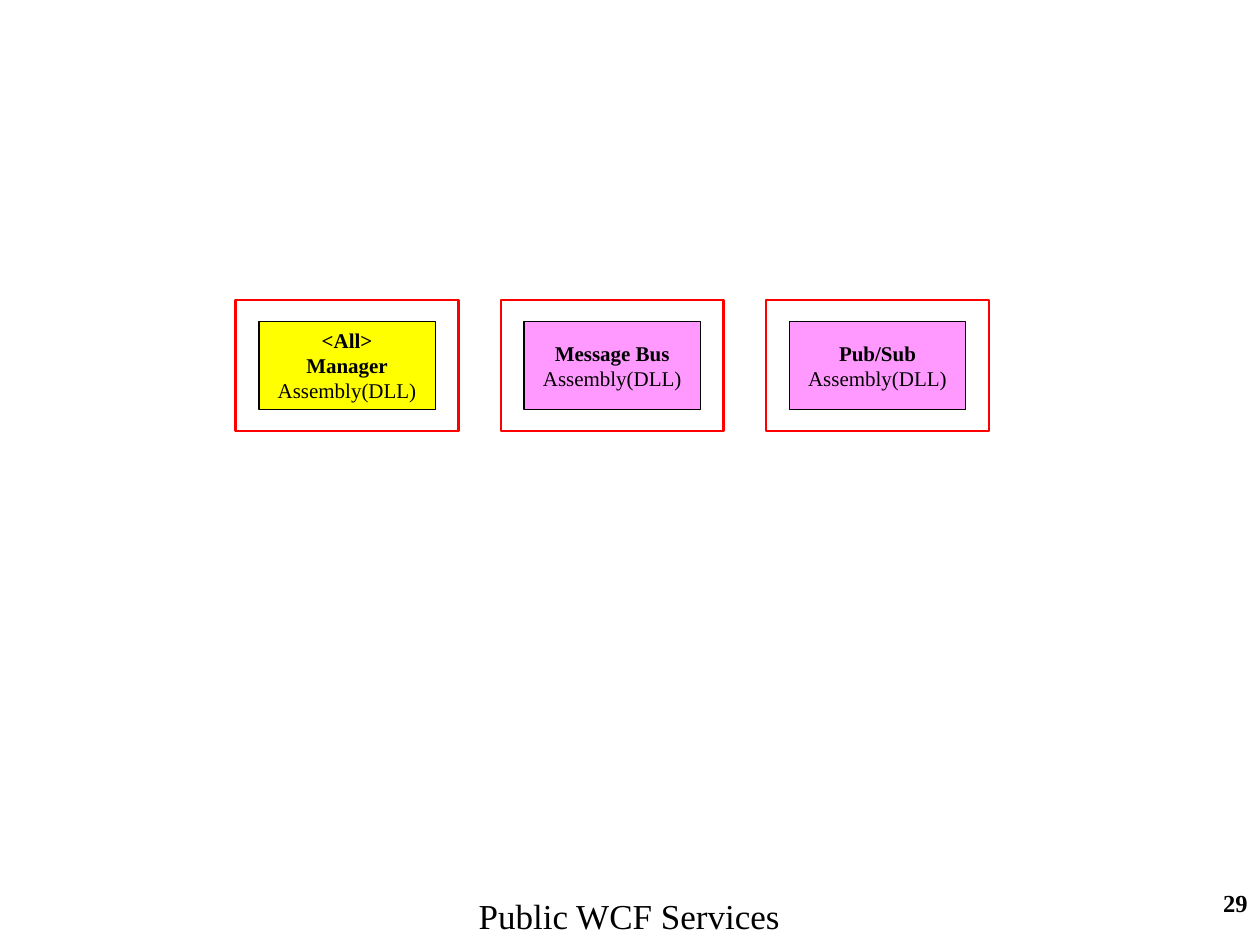
from pptx import Presentation
from pptx.dml.color import RGBColor
from pptx.enum.shapes import MSO_SHAPE as Shape
from pptx.enum.text import MSO_ANCHOR as Anchor, MSO_AUTO_SIZE as AutoSize, PP_ALIGN as Align
from pptx.util import Inches, Pt

BLACK = RGBColor(0x00, 0x00, 0x00)
RED = RGBColor(0xFF, 0x00, 0x00)
YELLOW = RGBColor(0xFF, 0xFF, 0x00)
PINK = RGBColor(0xFF, 0x99, 0xFF)

# Grid of three equal columns, in inches
FIRST_LEFT, LAST_LEFT, TOP = 1.87, 6.08, 2.38
FRAME_WIDTH, FRAME_HEIGHT = 1.77, 1.04
BOX_WIDTH, BOX_HEIGHT = 1.4, 0.7

presentation = Presentation()
presentation.slide_width, presentation.slide_height = Inches(10), Inches(7.5)
slide = presentation.slides.add_slide(presentation.slide_layouts[6])


def add_run(paragraph, text, size, bold=False):
    run = paragraph.add_run()
    run.text = text
    run.font.name = "Times New Roman"
    run.font.size = Pt(size)
    run.font.bold = bold
    run.font.color.rgb = BLACK


def add_rectangle(left, top, width, height, line_color, line_width, fill=None):
    shape = slide.shapes.add_shape(
        Shape.RECTANGLE, Inches(left), Inches(top), Inches(width), Inches(height))
    shape.shadow.inherit = False
    shape.line.color.rgb = line_color
    shape.line.width = Pt(line_width)
    if fill is None:
        shape.fill.background()
    else:
        shape.fill.solid()
        shape.fill.fore_color.rgb = fill
    return shape


# Page number and caption
number = slide.shapes.add_textbox(Inches(7.92), Inches(7), Inches(2.08), Inches(0.5))
number.text_frame.word_wrap = True
paragraph = number.text_frame.paragraphs[0]
paragraph.alignment = Align.RIGHT
add_run(paragraph, "29", 14, bold=True)

caption = slide.shapes.add_textbox(Inches(3.7), Inches(7.05), Inches(2.61), Inches(0.44))
caption.text_frame.word_wrap = False
caption.text_frame.auto_size = AutoSize.SHAPE_TO_FIT_TEXT
add_run(caption.text_frame.paragraphs[0], "Public WCF Services", 20)

# Services: a red frame around each assembly box
services = [
    (["<All>", "Manager"], YELLOW),
    (["Message Bus"], PINK),
    (["Pub/Sub"], PINK),
]
pitch = (LAST_LEFT - FIRST_LEFT) / (len(services) - 1)
for column, (name_lines, fill) in enumerate(services):
    left = FIRST_LEFT + column * pitch
    add_rectangle(left, TOP, FRAME_WIDTH, FRAME_HEIGHT, RED, 1.5)
    box = add_rectangle(
        left + (FRAME_WIDTH - BOX_WIDTH) / 2, TOP + (FRAME_HEIGHT - BOX_HEIGHT) / 2,
        BOX_WIDTH, BOX_HEIGHT, BLACK, 0.75, fill)
    frame = box.text_frame
    frame.word_wrap = False
    frame.vertical_anchor = Anchor.MIDDLE
    for index, name in enumerate(name_lines):
        paragraph = frame.add_paragraph() if index else frame.paragraphs[0]
        paragraph.alignment = Align.CENTER
        add_run(paragraph, name, 12, bold=True)
    paragraph.add_line_break()
    add_run(paragraph, "Assembly(DLL)", 12)

presentation.save("out.pptx")
